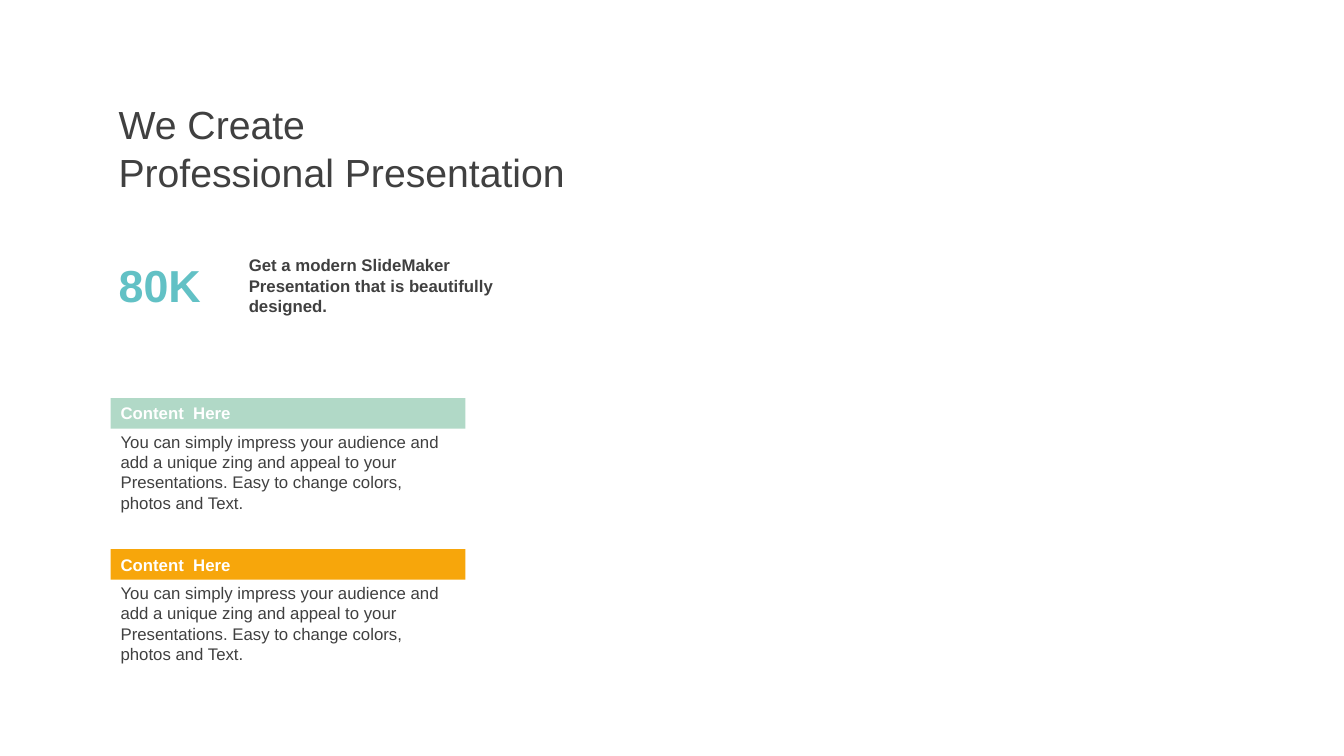
from dataclasses import dataclass

from pptx import Presentation
from pptx.dml.color import RGBColor
from pptx.enum.shapes import MSO_SHAPE
from pptx.enum.text import MSO_ANCHOR, PP_ALIGN
from pptx.shapes.base import BaseShape
from pptx.util import Cm, Pt

COLORS = {
    "text": "404040",
    "white": "FFFFFF",
    "teal": "62C1C5",
    "mint": "B1D9C7",
    "orange": "F7A60B",
}
FONT = "Arial"
LEFT = 2.79
CARD_W = 8.94
CARD_TOP = 10.03
CARD_PITCH = 3.81
WIDE = (0.25, 0.13, 0.25, 0.13)
TIGHT = (0.2, 0, 0.1, 0)


@dataclass
class Label:
    text: str
    left: float
    top: float
    width: float
    height: float
    size: int = 12
    color: str = "text"
    bold: bool = False
    insets: tuple[float, float, float, float] = WIDE


@dataclass
class Card:
    title: str
    body: str
    color: str


BODY = (
    "You can simply impress your audience and add a unique zing and appeal "
    "to your Presentations. Easy to change colors, photos and Text."
)
CARDS = [
    Card("Content  Here", BODY, "mint"),
    Card("Content  Here", BODY, "orange"),
]
LABELS = [
    Label("Get a modern SlideMaker Presentation that is beautifully designed.",
          6.02, 6.3, 7.29, 1.8, bold=True),
    Label("80K", LEFT, 6.5, 2.82, 1.37, 32, "teal", True, TIGHT),
    Label("We Create\nProfessional Presentation",
          LEFT, 2.54, 11.66, 2.39, 28, insets=TIGHT),
]


def rgb(name: str) -> RGBColor:
    return RGBColor.from_string(COLORS[name])


def box(label: Label) -> tuple[Cm, Cm, Cm, Cm]:
    return Cm(label.left), Cm(label.top), Cm(label.width), Cm(label.height)


def write(sp: BaseShape, label: Label, anchor: MSO_ANCHOR) -> None:
    tf = sp.text_frame
    tf.text = label.text
    tf.word_wrap = True
    tf.vertical_anchor = anchor
    tf.margin_left, tf.margin_top, tf.margin_right, tf.margin_bottom = map(Cm, label.insets)
    for p in tf.paragraphs:
        p.alignment = PP_ALIGN.LEFT
        for r in p.runs:
            r.font.name = FONT
            r.font.size = Pt(label.size)
            r.font.bold = label.bold
            r.font.color.rgb = rgb(label.color)


def add_label(shapes, label: Label) -> None:
    write(shapes.add_textbox(*box(label)), label, MSO_ANCHOR.TOP)


def add_card(shapes, card: Card, top: float) -> None:
    group = shapes.add_group_shape().shapes
    title = Label(card.title, LEFT, top, CARD_W, 0.77, color="white", bold=True)
    sp = group.add_shape(MSO_SHAPE.RECTANGLE, *box(title))
    sp.shadow.inherit = False
    sp.fill.solid()
    sp.fill.fore_color.rgb = rgb(card.color)
    sp.line.fill.background()
    write(sp, title, MSO_ANCHOR.MIDDLE)
    add_label(group, Label(card.body, LEFT, top + 0.72, CARD_W, 2.31))


def main() -> None:
    prs = Presentation()
    prs.slide_width, prs.slide_height = Cm(33.87), Cm(19.05)
    slide = prs.slides.add_slide(prs.slide_layouts[6])
    for i, card in enumerate(CARDS):
        add_card(slide.shapes, card, CARD_TOP + i * CARD_PITCH)
    for label in LABELS:
        add_label(slide.shapes, label)
    prs.save("out.pptx")


if __name__ == "__main__":
    main()
